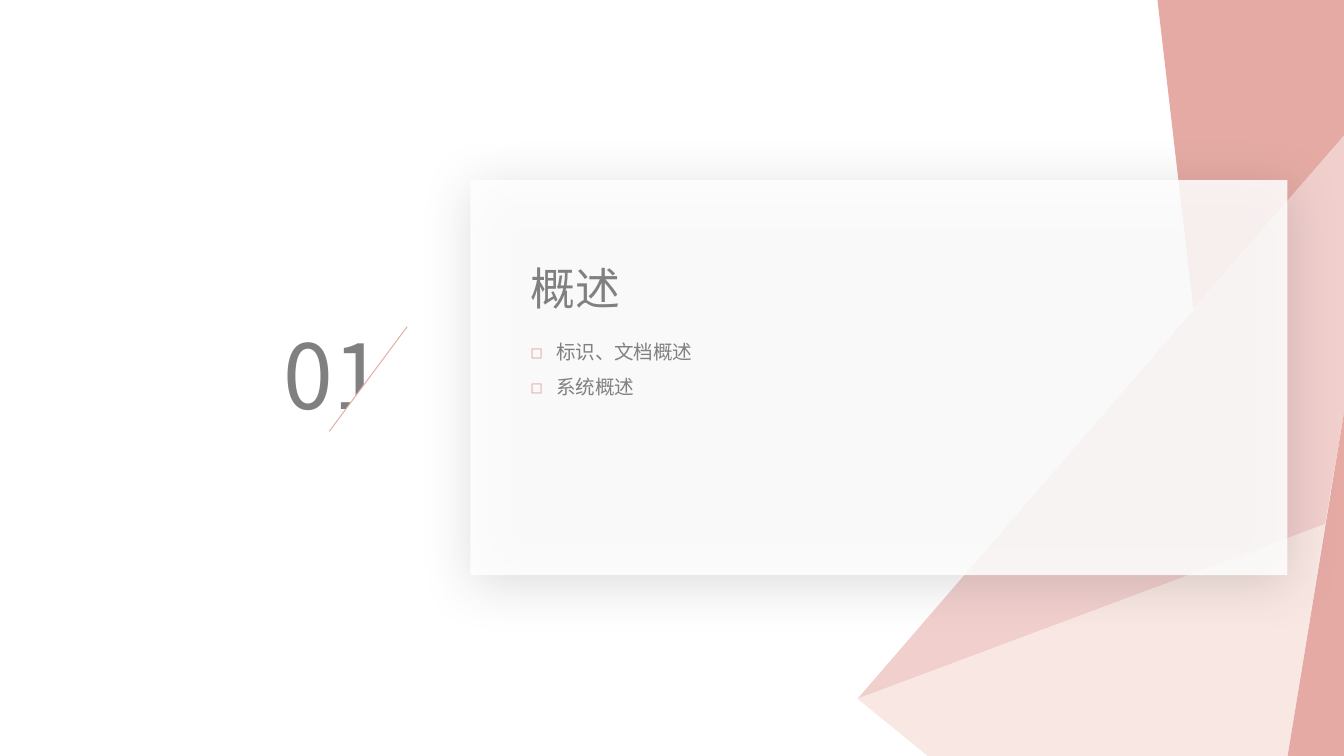
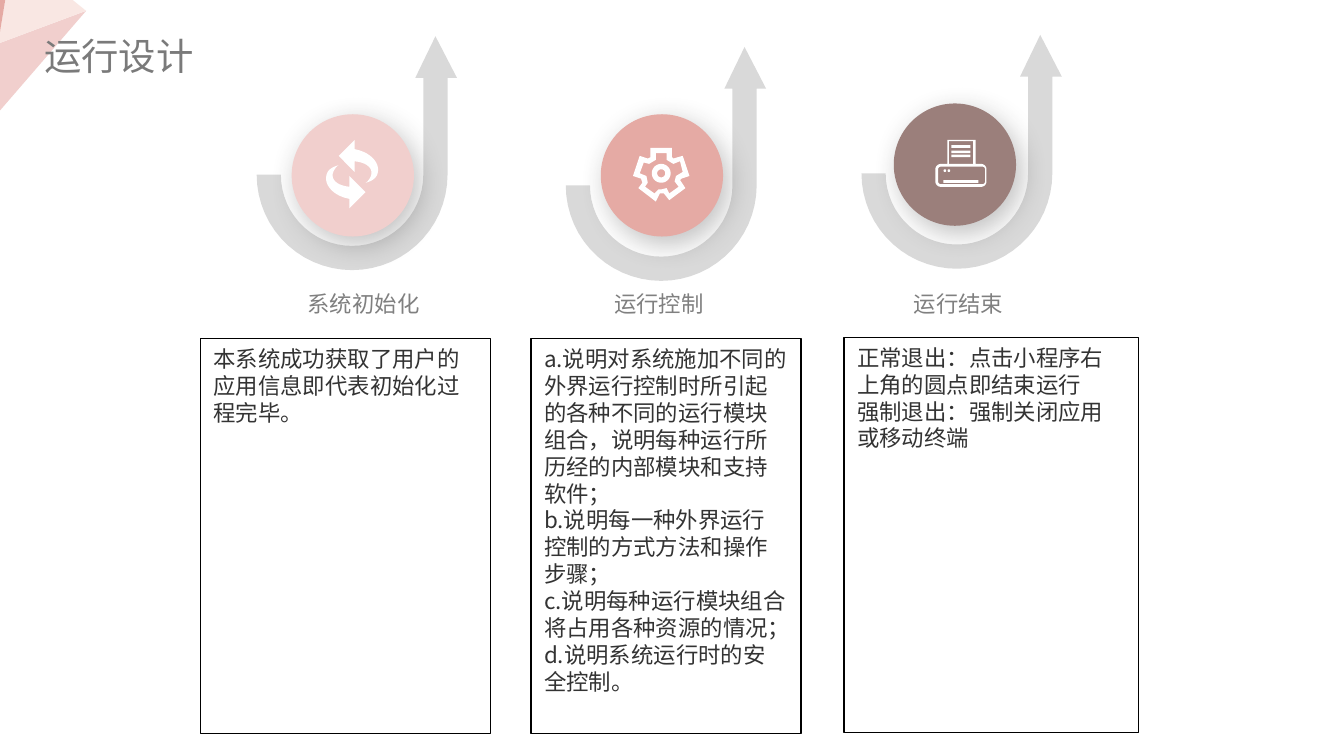
from dataclasses import dataclass
from math import cos, radians, sin

from lxml import etree
from pptx import Presentation
from pptx.dml.color import RGBColor
from pptx.enum.shapes import MSO_CONNECTOR, MSO_SHAPE
from pptx.enum.text import MSO_ANCHOR, MSO_AUTO_SIZE, PP_ALIGN
from pptx.oxml.ns import qn
from pptx.util import Inches, Pt

RECTANGLE = MSO_SHAPE.RECTANGLE
OVAL = MSO_SHAPE.OVAL
RIGHT_TRIANGLE = MSO_SHAPE.RIGHT_TRIANGLE
STRAIGHT = MSO_CONNECTOR.STRAIGHT
TOP = MSO_ANCHOR.TOP
LEFT = PP_ALIGN.LEFT
GROW = MSO_AUTO_SIZE.SHAPE_TO_FIT_TEXT
FIXED = MSO_AUTO_SIZE.NONE

Point = tuple[float, float]
Box = tuple[float, float, float, float]


@dataclass(frozen=True)
class Theme:
    font: str = "Noto Sans CJK SC"
    white: str = "FFFFFF"
    rose: str = "E5AAA4"
    blush: str = "F1CFCD"
    cream: str = "F9E7E3"
    mocha: str = "9B7F7B"
    track: str = "D9D9D9"
    outline: str = "000000"
    title: str = "7A7A7A"
    label: str = "808080"
    body: str = "333333"
    number_size: float = 48
    section_size: float = 24
    title_size: float = 20
    body_size: float = 12
    bullet_size: float = 10.5


THEME = Theme()


@dataclass(frozen=True)
class Shadow:
    opacity: int
    blur: float
    distance: float
    angle: int


PANEL_SHADOW = Shadow(20, 29, 5, 77)
DISC_SHADOW = Shadow(30, 15, 5, 55)


@dataclass(frozen=True)
class Facet:
    color: str
    points: list[Point]


APEX, KNEE, EDGE, CORNER = (6.38, 5.2), (9.86, 3.9), (10, 3.07), (10, 1.01)
FOOT = (9.58, 5.63)
FACETS = [
    Facet(THEME.rose, [(8.88, 2.3), (8.61, -0.02), (10, -0.02), CORNER]),
    Facet(THEME.blush, [APEX, KNEE, EDGE, CORNER]),
    Facet(THEME.cream, [APEX, (6.91, 5.63), FOOT, KNEE]),
    Facet(THEME.rose, [FOOT, (10, 5.63), EDGE]),
]


@dataclass(frozen=True)
class Stage:
    label: str
    label_box: Box
    arrow_tip: Point
    disc: Point
    disc_color: str
    box: Box
    paragraphs: list[str]


STAGES = [
    Stage("系统初始化", (2.19, 2.11, 1.04, 0.3), (3.24, 0.27), (2.17, 0.85),
          THEME.blush, (1.49, 2.52, 2.16, 2.94),
          ["本系统成功获取了用户的应用信息即代表初始化过程完毕。"]),
    Stage("运行控制", (4.47, 2.11, 0.88, 0.3), (5.54, 0.35), (4.47, 0.85),
          THEME.rose, (3.95, 2.52, 2.01, 2.94),
          ["a.说明对系统施加不同的外界运行控制时所引起的各种不同的运行模块组合，"
           "说明每种运行所历经的内部模块和支持软件；",
           "b.说明每一种外界运行控制的方式方法和操作步骤；",
           "c.说明每种运行模块组合将占用各种资源的情况；",
           "d.说明系统运行时的安全控制。"]),
    Stage("运行结束", (6.7, 2.11, 0.88, 0.3), (7.74, 0.26), (6.65, 0.77),
          THEME.mocha, (6.28, 2.51, 2.19, 2.94),
          ["正常退出：点击小程序右上角的圆点即结束运行",
           "强制退出：强制关闭应用或移动终端"]),
]


def rgb(color: str) -> RGBColor:
    return RGBColor.from_string(color)


def inches(*lengths: float) -> list[int]:
    return [Inches(length) for length in lengths]


def paint(shape, fill: str, line: str | None = None, opacity: int = 100,
          shadow: Shadow | None = None) -> None:
    shape.fill.solid()
    shape.fill.fore_color.rgb = rgb(fill)
    if opacity < 100:
        color = shape._element.spPr.find(qn("a:solidFill"))[0]
        etree.SubElement(color, qn("a:alpha"), val=str(opacity * 1000))
    if line:
        shape.line.color.rgb = rgb(line)
        shape.line.width = Pt(0.75)
    else:
        shape.line.fill.background()
    shape.shadow.inherit = False
    if shadow:
        effects = shape._element.spPr.find(qn("a:effectLst"))
        outer = etree.SubElement(
            effects, qn("a:outerShdw"), blurRad=str(Pt(shadow.blur)),
            dist=str(Pt(shadow.distance)), dir=str(shadow.angle * 60000),
            algn="ctr", rotWithShape="0")
        color = etree.SubElement(outer, qn("a:srgbClr"), val=THEME.body)
        etree.SubElement(color, qn("a:alpha"), val=str(shadow.opacity * 1000))


def add_preset(slide, kind, box: Box, fill: str, **look):
    shape = slide.shapes.add_shape(kind, *inches(*box))
    paint(shape, fill, **look)
    return shape


def add_outline(slide, fill: str, *contours: list[Point]) -> None:
    """Draw closed contours as one shape; a contour inside another is a hole."""
    builder = None
    for contour in contours:
        start, *rest = [tuple(inches(*point)) for point in contour]
        if builder is None:
            builder = slide.shapes.build_freeform(*start)
        else:
            builder.move_to(*start)
        builder.add_line_segments(rest, close=True)
    paint(builder.convert_to_shape(), fill)


def write(shape, paragraphs: list[str], *, size: float, color: str,
          wrap: bool = True, auto_size=GROW, bullet: str | None = None,
          line_spacing: float | None = None) -> None:
    frame = shape.text_frame
    frame.word_wrap = wrap
    frame.auto_size = auto_size
    frame.vertical_anchor = TOP
    for index, text in enumerate(paragraphs):
        paragraph = frame.add_paragraph() if index else frame.paragraphs[0]
        paragraph.alignment = LEFT
        if bullet:
            properties = paragraph._p.get_or_add_pPr()
            properties.set("marL", str(Inches(0.19)))
            properties.set("indent", str(-Inches(0.19)))
            bullet_color = etree.SubElement(properties, qn("a:buClr"))
            etree.SubElement(bullet_color, qn("a:srgbClr"), val=THEME.rose)
            etree.SubElement(properties, qn("a:buFont"), typeface=THEME.font)
            etree.SubElement(properties, qn("a:buChar"), char=bullet)
        if line_spacing:
            paragraph.line_spacing = line_spacing
        run = paragraph.add_run()
        run.text = text
        run.font.size = Pt(size)
        run.font.name = THEME.font
        run.font.color.rgb = rgb(color)
        etree.SubElement(run._r.rPr, qn("a:ea"), typeface=THEME.font)


def add_text(slide, box: Box, *paragraphs: str, **text_format) -> None:
    write(slide.shapes.add_textbox(*inches(*box)), list(paragraphs), **text_format)


def arc(center: Point, radius: float, start: int, end: int) -> list[Point]:
    """Points on a circle; angles in degrees, clockwise from the right."""
    steps = max(4, abs(end - start) // 6)
    angles = [radians(start + (end - start) * i / steps) for i in range(steps + 1)]
    return [(center[0] + radius * cos(a), center[1] + radius * sin(a)) for a in angles]


def curve(*controls: Point) -> list[Point]:
    """Points on a cubic Bezier curve."""
    points = []
    for step in range(11):
        t = step / 10
        weights = ((1 - t) ** 3, 3 * t * (1 - t) ** 2, 3 * t * t * (1 - t), t ** 3)
        points.append(tuple(sum(w * c[axis] for w, c in zip(weights, controls))
                            for axis in (0, 1)))
    return points


def rounded(left: float, top: float, right: float, bottom: float,
            radius: float = 0) -> list[Point]:
    if not radius:
        return [(left, top), (right, top), (right, bottom), (left, bottom)]
    west, east = left + radius, right - radius
    north, south = top + radius, bottom - radius
    return [*arc((west, north), radius, 180, 270), *arc((east, north), radius, 270, 360),
            *arc((east, south), radius, 0, 90), *arc((west, south), radius, 90, 180)]


def add_facets(slide, facets: list[Facet], turned: bool = False) -> None:
    """Draw the facets full size, or small and half-turned in the top left corner."""
    scale = 0.188
    for facet in facets:
        points = facet.points
        if turned:
            points = [((10 - x) * scale - 0.04, (5.63 - y) * scale) for x, y in points]
        add_outline(slide, facet.color, points)


def add_hook_arrow(slide, tip: Point) -> None:
    x, y = tip
    center = (x - 0.62, y + 1.03)
    add_outline(slide, THEME.track, [
        tip, (x - 0.15, y + 0.31), (x - 0.09, y + 0.31),
        *arc(center, 0.53, 0, 180), *arc(center, 0.71, 180, 0),
        (x + 0.09, y + 0.31), (x + 0.16, y + 0.31)])


def add_refresh_icon(slide) -> None:
    upper = [
        (2.64, 1.11), (2.64, 1.04), (2.52, 1.16), (2.64, 1.28),
        *curve((2.64, 1.2), (2.74, 1.21), (2.78, 1.26), (2.76, 1.31)),
        *curve((2.76, 1.31), (2.75, 1.33), (2.74, 1.35), (2.72, 1.36)),
        *curve((2.72, 1.36), (2.76, 1.35), (2.8, 1.33), (2.81, 1.29)),
        *curve((2.81, 1.29), (2.83, 1.22), (2.77, 1.15), (2.68, 1.12))]
    lower = [(5.24 - x, 2.59 - y) for x, y in upper]
    for arrow in (upper, lower):
        add_outline(slide, THEME.white, arrow)


def add_gear_icon(slide) -> None:
    outer = [(4.75, 1.4), (4.78, 1.36), (4.77, 1.33), (4.71, 1.31), (4.76, 1.16),
             (4.82, 1.18), (4.84, 1.17), (4.84, 1.1), (5, 1.1), (5, 1.17),
             (5.01, 1.18), (5.08, 1.16), (5.13, 1.31), (5.07, 1.33), (5.06, 1.34),
             (5.1, 1.4), (4.98, 1.49), (4.94, 1.44), (4.91, 1.44), (4.88, 1.5)]
    inner = [(4.76, 1.29), (4.81, 1.31), (4.82, 1.36), (4.8, 1.39), (4.87, 1.44),
             (4.9, 1.41), (4.92, 1.41), (4.96, 1.4), (4.98, 1.44), (5.05, 1.39),
             (5.02, 1.35), (5.03, 1.31), (5.08, 1.28), (5.06, 1.2), (5.01, 1.22),
             (4.96, 1.19), (4.96, 1.14), (4.88, 1.14), (4.88, 1.19), (4.83, 1.22),
             (4.79, 1.21)]
    hub = (4.92, 1.29)
    add_outline(slide, THEME.white, outer, inner,
                arc(hub, 0.07, 0, 360), arc(hub, 0.03, 0, 360))


def add_printer_icon(slide) -> None:
    add_preset(slide, RECTANGLE, (7.02, 1.34, 0.26, 0.02), THEME.white)
    for top in (1.08, 1.12, 1.15):
        add_preset(slide, RECTANGLE, (7.08, top, 0.14, 0.02), THEME.white)
    add_outline(slide, THEME.white,
                rounded(7.05, 1.04, 7.26, 1.22), rounded(7.06, 1.05, 7.24, 1.22),
                rounded(6.96, 1.22, 7.34, 1.39, 0.04),
                rounded(6.98, 1.24, 7.33, 1.37, 0.02))
    for left in (7.02, 7.05):
        add_preset(slide, OVAL, (left, 1.26, 0.02, 0.02), THEME.white)


def build_section_slide(slide) -> None:
    add_facets(slide, FACETS)
    add_preset(slide, RECTANGLE, (3.5, 1.34, 6.08, 2.94), THEME.white,
               opacity=85, shadow=PANEL_SHADOW)
    add_text(slide, (2.01, 2.33, 0.98, 0.91), "01",
             size=THEME.number_size, color=THEME.label)
    add_text(slide, (3.85, 1.89, 0.87, 0.5), "概述",
             size=THEME.section_size, color=THEME.label, wrap=False)
    mask = add_preset(slide, RIGHT_TRIANGLE, (2.35, 2.53, 0.78, 0.58), THEME.white)
    mask.rotation = 270
    slash = slide.shapes.add_connector(STRAIGHT, *inches(3.03, 2.43, 2.45, 3.21))
    slash.line.color.rgb = rgb(THEME.rose)
    slash.line.width = Pt(0.5)
    etree.SubElement(slash._element.spPr, qn("a:effectLst"))
    add_text(slide, (3.85, 2.39, 2.5, 1.16), "标识、文档概述", "系统概述",
             size=THEME.bullet_size, color=THEME.label, bullet="◻", line_spacing=1.5)


def build_run_slide(slide) -> None:
    for stage in STAGES:
        add_hook_arrow(slide, stage.arrow_tip)
    add_facets(slide, FACETS[1:], turned=True)
    add_text(slide, (0.23, 0.2, 1.36, 0.44), "运行设计",
             size=THEME.title_size, color=THEME.title, wrap=False)
    for stage, add_icon in zip(STAGES, (add_refresh_icon, add_gear_icon, add_printer_icon)):
        add_preset(slide, OVAL, (*stage.disc, 0.91, 0.91), stage.disc_color,
                   shadow=DISC_SHADOW)
        add_icon(slide)
        card = add_preset(slide, RECTANGLE, stage.box, THEME.white, line=THEME.outline)
        write(card, stage.paragraphs, size=THEME.body_size, color=THEME.body,
              auto_size=FIXED)
        add_text(slide, stage.label_box, stage.label,
                 size=THEME.body_size, color=THEME.label, wrap=False)


def main() -> None:
    presentation = Presentation()
    presentation.slide_width = Inches(10)
    presentation.slide_height = Inches(10) * 9 // 16
    blank = presentation.slide_layouts[6]
    for build in (build_section_slide, build_run_slide):
        build(presentation.slides.add_slide(blank))
    presentation.save("out.pptx")


if __name__ == "__main__":
    main()
